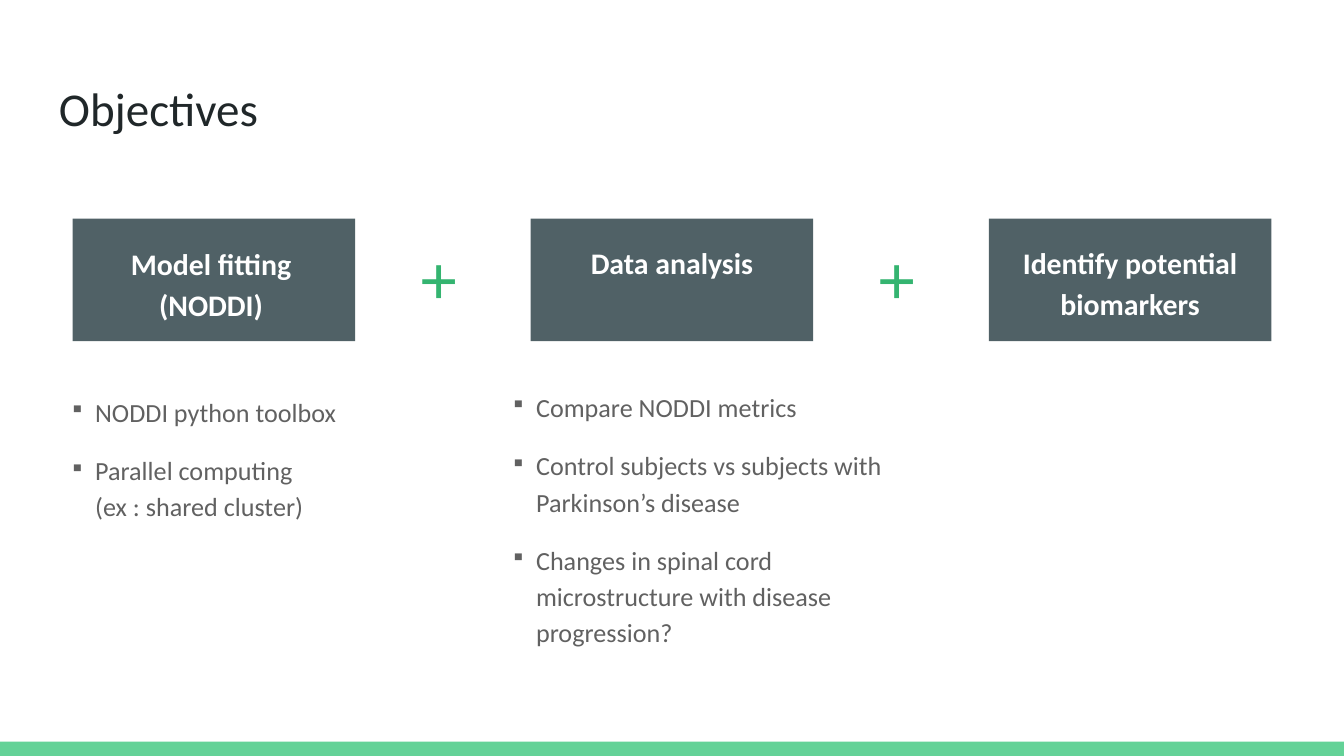
from dataclasses import dataclass

from lxml import etree
from pptx import Presentation
from pptx import util as u
from pptx.dml.color import RGBColor
from pptx.enum import shapes, text
from pptx.oxml import ns


@dataclass(frozen=True)
class Theme:
    face: str = "Calibri"
    sign: str = "Arial"
    dark: str = "202729"
    slate: str = "506166"
    white: str = "FFFFFF"
    gray: str = "616161"
    mint: str = "63D297"
    green: str = "34B470"
    title: float = 25.2
    head: float = 16
    body: float = 14
    plus: float = 36


class Deck:
    """Draws styled elements on the current slide."""

    def __init__(self, theme, wide, high):
        self.theme = theme
        self.prs = Presentation()
        self.prs.slide_width, self.prs.slide_height = u.Pt(wide), u.Pt(high)
        self.slide = self.prs.slides.add_slide(self.prs.slide_layouts[6])

    def rect(self, box, fill):
        shape = self.slide.shapes.add_shape(
            shapes.MSO_SHAPE.RECTANGLE, *map(u.Pt, box))
        shape.shadow.inherit = False
        shape.fill.solid()
        shape.fill.fore_color.rgb = RGBColor.from_string(fill)
        shape.line.fill.background()

    def label(self, box, lines, size, color, face=None, bold=False,
              pad=(7.2, 7.2), form=None):
        frame = self.slide.shapes.add_textbox(*map(u.Pt, box)).text_frame
        side, edge = map(u.Pt, pad)
        look = dict(word_wrap=True, margin_left=side, margin_right=side,
                    margin_top=edge, margin_bottom=edge,
                    vertical_anchor=text.MSO_ANCHOR.TOP)
        for key, val in look.items():
            setattr(frame, key, val)
        frame.text = "\n".join(lines)
        style = dict(name=face or self.theme.face, size=u.Pt(size), bold=bold)
        for para in frame.paragraphs:
            for key, val in (form or {}).items():
                setattr(para, key, val)
            for run in para.runs:
                for key, val in style.items():
                    setattr(run.font, key, val)
                run.font.color.rgb = RGBColor.from_string(color)
        return frame

    def head(self, box, line):
        form = dict(alignment=text.PP_ALIGN.CENTER, line_spacing=1.15,
                    space_after=u.Pt(12))
        self.label(box, [line], self.theme.head, self.theme.white,
                   bold=True, form=form)

    def plus(self, box):
        self.label(box, ["+"], self.theme.plus, self.theme.green,
                   face=self.theme.sign, pad=(7.2, 3.6))

    def bullets(self, box, lines):
        form = dict(level=1, line_spacing=1.15, space_after=u.Pt(12))
        frame = self.label(box, lines, self.theme.body, self.theme.gray,
                           form=form)
        for para in frame.paragraphs:
            props = para._p.get_or_add_pPr()
            props.set("marL", str(u.Pt(49.7)))
            props.set("indent", str(u.Pt(-13.7)))
            tint = etree.SubElement(props, ns.qn("a:buClr"))
            etree.SubElement(tint, ns.qn("a:srgbClr"), val=self.theme.gray)
            etree.SubElement(props, ns.qn("a:buSzPct"), val="80000")
            etree.SubElement(props, ns.qn("a:buChar"), char="▪")


def main():
    theme = Theme()
    deck = Deck(theme, 720, 405)
    deck.rect((0, 397.4, 720, 7.6), theme.mint)
    deck.label((24.5, 35.3, 671, 45.4), ["Objectives"], theme.title, theme.dark)

    left, top, wide, high, step = 38.9, 117.2, 151.4, 65.6, 245.4
    heads = [("Model fitting (NODDI)", 148.4, 121.6),
             ("Data analysis", 108, 121),
             ("Identify potential biomarkers", 151.4, 121)]
    for col, (line, span, y) in enumerate(heads):
        x = left + col * step
        deck.rect((x, top, wide, high), theme.slate)
        inset = (wide - span) / 2 if col else 0
        deck.head((x + inset, y, span, 45.4), line)
    for gap in range(len(heads) - 1):
        deck.plus((217.4 + gap * step, 123.8, 63.4, 51))

    deck.bullets((-5.8, 202.5, 206.6, 131), [
        "NODDI python toolbox",
        "Parallel computing\v(ex : shared cluster)"])
    deck.bullets((230.4, 200, 250.6, 170), [
        "Compare NODDI metrics",
        "Control subjects vs subjects with Parkinson’s disease",
        "Changes in spinal cord microstructure with disease progression?"])
    deck.prs.save("out.pptx")


if __name__ == "__main__":
    main()
